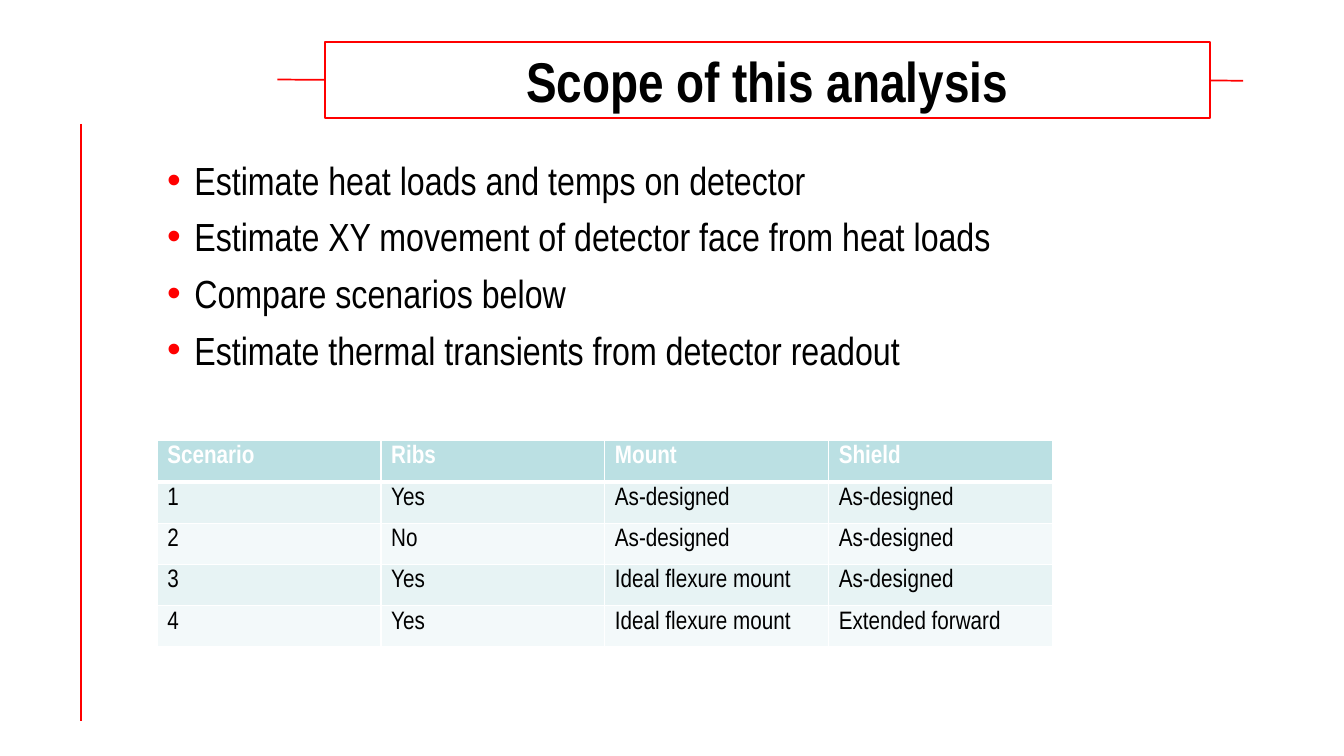
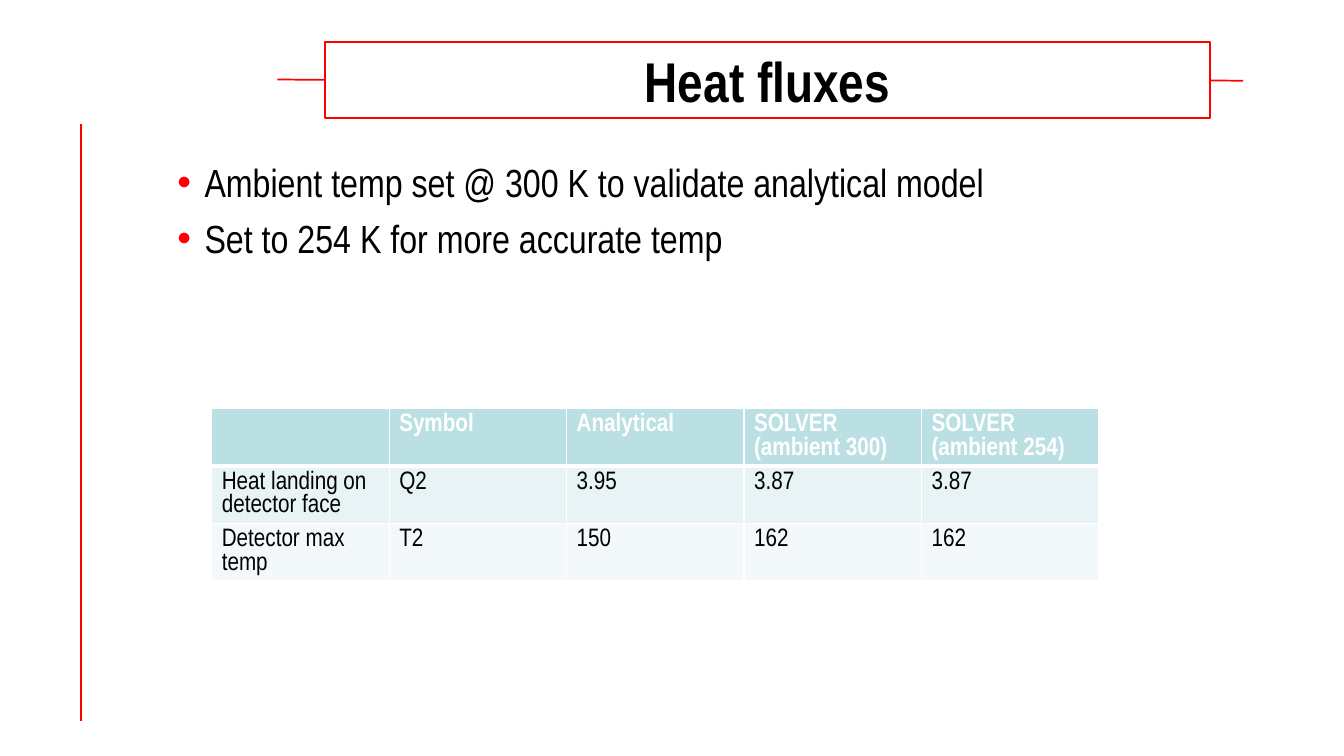
from dataclasses import dataclass

from lxml.etree import SubElement
from pptx import Presentation
from pptx.dml.color import RGBColor
from pptx.enum.shapes import MSO_CONNECTOR, MSO_SHAPE
from pptx.enum.text import MSO_ANCHOR, PP_ALIGN
from pptx.oxml.ns import qn
from pptx.util import Inches, Pt


@dataclass(frozen=True)
class Theme:
    font: str = "Arial Narrow"
    accent: str = "FF0000"
    ink: str = "000000"
    paper: str = "FFFFFF"
    header: str = "BBE0E3"
    bands: tuple = ("E7F3F4", "F3F9FA")
    title_size: int = 40
    body_size: int = 28
    table_size: int = 18
    rule_width: float = 1.25
    border_width: int = 1
    header_border_width: int = 3


THEME = Theme()

SCENARIOS = [
    ["Scenario", "Ribs", "Mount", "Shield"],
    ["1", "Yes", "As-designed", "As-designed"],
    ["2", "No", "As-designed", "As-designed"],
    ["3", "Yes", "Ideal flexure mount", "As-designed"],
    ["4", "Yes", "Ideal flexure mount", "Extended forward"],
]
FLUXES = [
    ["", "Symbol", "Analytical", "SOLVER (ambient 300)", "SOLVER (ambient 254)"],
    ["Heat landing on detector face", "Q2", "3.95", "3.87", "3.87"],
    ["Detector max temp", "T2", "150", "162", "162"],
]


def set_format(target, values):
    for name, value in values.items():
        setattr(target, name, value)


def add_text(paragraph, text, size, color=THEME.ink, bold=False):
    run = paragraph.add_run()
    run.text = text
    set_format(run.font, {"name": THEME.font, "size": Pt(size), "bold": bold})
    run.font.color.rgb = RGBColor.from_string(color)


def style_line(line):
    line.color.rgb = RGBColor.from_string(THEME.accent)
    line.width = Pt(THEME.rule_width)


def add_rule(slide, left, top, right, bottom):
    ends = [Inches(value) for value in (left, top, right, bottom)]
    rule = slide.shapes.add_connector(MSO_CONNECTOR.STRAIGHT, *ends)
    style_line(rule.line)
    SubElement(rule._element.spPr, qn("a:effectLst"))


def add_title(slide, title):
    shape = slide.shapes.add_shape(
        MSO_SHAPE.RECTANGLE, Inches(3.22), Inches(0.42), Inches(8.78), Inches(0.75)
    )
    shape.shadow.inherit = False
    shape.fill.solid()
    shape.fill.fore_color.rgb = RGBColor.from_string(THEME.paper)
    style_line(shape.line)
    frame = shape.text_frame
    set_format(frame, {"word_wrap": True, "vertical_anchor": MSO_ANCHOR.MIDDLE})
    frame.paragraphs[0].alignment = PP_ALIGN.CENTER
    add_text(frame.paragraphs[0], title, THEME.title_size, bold=True)


def add_slide(presentation, title):
    slide = presentation.slides.add_slide(presentation.slide_layouts[6])
    add_rule(slide, 2.75, 0.79, 12.33, 0.8)
    add_rule(slide, 0.8, 1.23, 0.8, 7.15)
    add_title(slide, title)
    return slide


def add_bullet(paragraph):
    properties = paragraph._p.get_or_add_pPr()
    properties.set("marL", str(Inches(0.27)))
    properties.set("indent", str(-Inches(0.27)))
    color = SubElement(properties, qn("a:buClr"))
    SubElement(color, qn("a:srgbClr"), val=THEME.accent)
    SubElement(properties, qn("a:buFont"), typeface="Arial")
    SubElement(properties, qn("a:buChar"), char="•")


def add_bullets(slide, box, items):
    frame = slide.shapes.add_textbox(*map(Inches, box)).text_frame
    frame.word_wrap = True
    for index, item in enumerate(items):
        paragraph = frame.paragraphs[0] if index == 0 else frame.add_paragraph()
        add_bullet(paragraph)
        paragraph.space_before = Pt(6.8 if index else 0)
        add_text(paragraph, item, THEME.body_size)


def add_borders(cell, row_index):
    thick, thin = THEME.header_border_width, THEME.border_width
    widths = {
        "L": thin,
        "R": thin,
        "T": thick if row_index == 1 else thin,
        "B": thick if row_index == 0 else thin,
    }
    properties = cell._tc.get_or_add_tcPr()
    for side, width in widths.items():
        line = SubElement(properties, qn(f"a:ln{side}"), w=str(Pt(width)))
        fill = SubElement(line, qn("a:solidFill"))
        SubElement(fill, qn("a:srgbClr"), val=THEME.paper)


def fill_cell(cell, text, row_index):
    is_header = row_index == 0
    add_borders(cell, row_index)
    cell.fill.solid()
    color = THEME.header if is_header else THEME.bands[(row_index - 1) % 2]
    cell.fill.fore_color.rgb = RGBColor.from_string(color)
    if text:
        ink = THEME.paper if is_header else THEME.ink
        add_text(cell.text_frame.paragraphs[0], text, THEME.table_size, ink, is_header)


def add_data_table(slide, left, top, column_width, row_height, rows):
    row_count, column_count = len(rows), len(rows[0])
    table = slide.shapes.add_table(
        row_count, column_count, Inches(left), Inches(top),
        Inches(column_width * column_count), Inches(row_height * row_count),
    ).table
    set_format(table, {"first_row": False, "horz_banding": False})
    for row_index, row in enumerate(rows):
        for column_index, text in enumerate(row):
            fill_cell(table.cell(row_index, column_index), text, row_index)


def main():
    presentation = Presentation()
    set_format(presentation, {"slide_width": Inches(13.33), "slide_height": Inches(7.5)})

    scope = add_slide(presentation, "Scope of this analysis")
    add_bullets(scope, (1.56, 1.5, 10.78, 5.58), [
        "Estimate heat loads and temps on detector",
        "Estimate XY movement of detector face from heat loads",
        "Compare scenarios below",
        "Estimate thermal transients from detector readout",
    ])
    add_data_table(scope, 1.56, 4.37, 2.22, 0.41, SCENARIOS)

    fluxes = add_slide(presentation, "Heat fluxes")
    add_data_table(fluxes, 2.1, 4.05, 1.76, 0.57, FLUXES)
    add_bullets(fluxes, (1.66, 1.52, 9.68, 1.95), [
        "Ambient temp set @ 300 K to validate analytical model",
        "Set to 254 K for more accurate temp",
    ])

    presentation.save("out.pptx")


if __name__ == "__main__":
    main()
